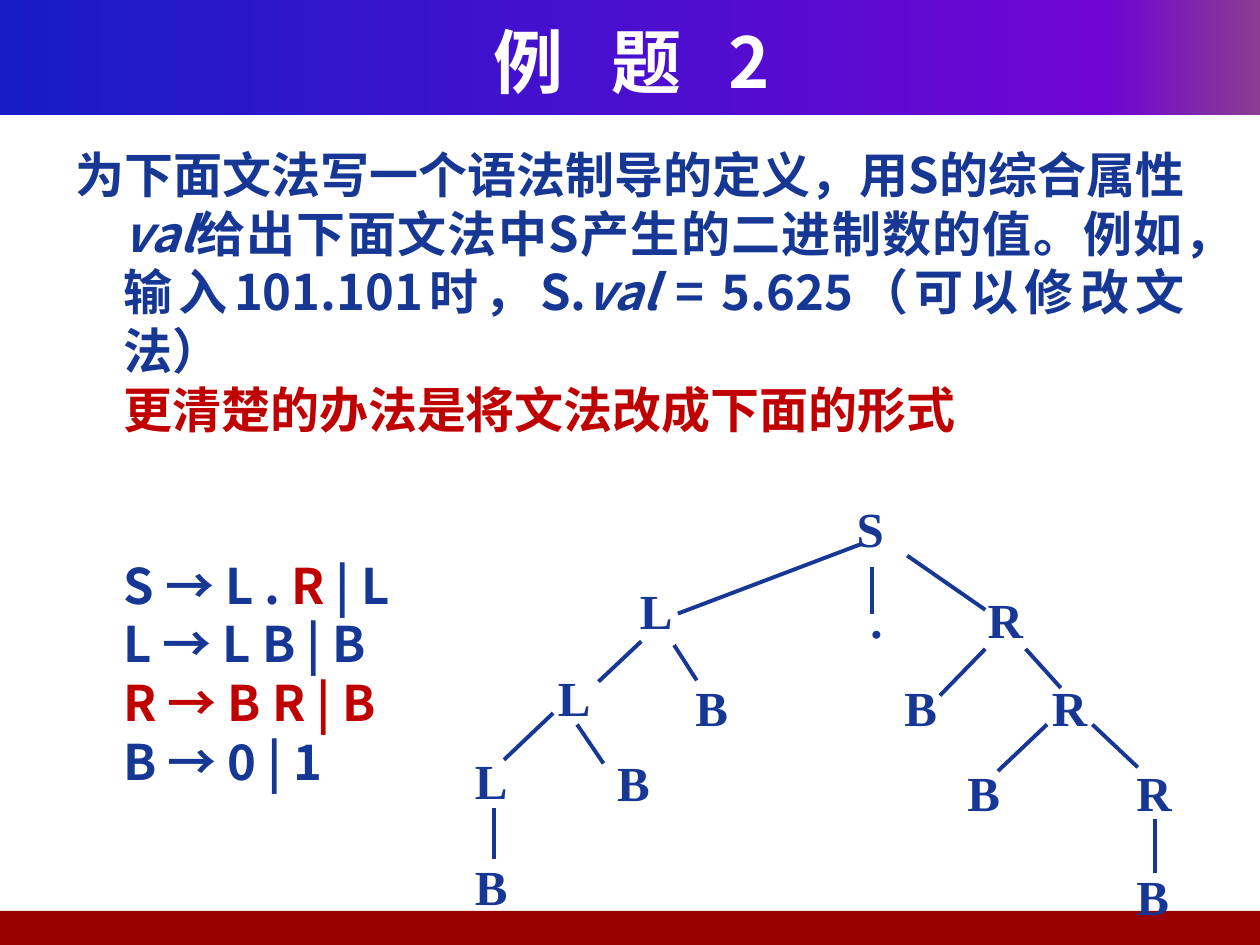
from copy import deepcopy
from lxml import etree
from pptx import Presentation, util as u
from pptx.dml.color import RGBColor
from pptx.enum import shapes, text
from pptx.oxml.ns import qn

BLUE, RED = "163794", "C00000"
SANS, SERIF = "Noto Sans CJK SC", "Times New Roman"


def rgb(code):
    return RGBColor.from_string(code)


def write(para, words, face, size, color, italic=False):
    run = para.add_run()
    run.text = words
    form = {"name": face, "size": u.Pt(size), "bold": True, "italic": italic}
    for key, val in form.items():
        setattr(run.font, key, val)
    run.font.color.rgb = rgb(color)
    etree.SubElement(run.font._element, qn("a:ea")).set("typeface", face)
    return run


prs = Presentation()
prs.slide_width, prs.slide_height = u.Inches(10), u.Inches(7.5)
slide = prs.slides.add_slide(prs.slide_layouts[1])
tree = slide.shapes

bands = []
for spot in [(0, 0, 10, 0.91), (-0.04, 7.23, 10.04, 0.27)]:
    band = tree.add_shape(shapes.MSO_SHAPE.RECTANGLE, *map(u.Inches, spot))
    band.shadow.inherit = False
    band.line.fill.background()
    tree._spTree.remove(band._element)
    tree._spTree.insert(2 + len(bands), band._element)
    bands.append(band)
head, foot = bands
foot.fill.solid()
foot.fill.fore_color.rgb = rgb("990000")
head.fill.gradient()
head.fill.gradient_angle = 0
stops = head._element.spPr.find(qn("a:gradFill")).find(qn("a:gsLst"))
stops.append(deepcopy(stops[-1]))
shades = [(0, "181CC7"), (0.88, "7005D4"), (1, "8C3D91")]
for stop, (pos, color) in zip(head.fill.gradient_stops, shades):
    stop.position = pos
    stop.color.rgb = rgb(color)

title, body = tree.title, tree.placeholders[1]
spots = [(title, (0.39, 0.17, 9.25, 0.62)), (body, (0.5, 1.1, 9, 5.74))]
for hold, spot in spots:
    for key, val in zip(("left", "top", "width", "height"), spot):
        setattr(hold, key, u.Inches(val))
    hold.text_frame.auto_size = text.MSO_AUTO_SIZE.NONE

title.text_frame.vertical_anchor = text.MSO_ANCHOR.MIDDLE
para = title.text_frame.paragraphs[0]
para.alignment = text.PP_ALIGN.CENTER
run = write(para, "例 题 2", SANS, 40, "FFFFFF")
run.font._element.set("spc", "900")

lines = [
    [("为下面文法写一个语法制导的定义，用S的综合属性", BLUE), ("val", BLUE, True),
     ("给出下面文法中S产生的二进制数的值。例如，输入101.101时，S.", BLUE),
     ("val", BLUE, True), (" = 5.625（可以修改文法）", BLUE)],
    [("更清楚的办法是将文法改成下面的形式", RED)],
    [("S → L . ", BLUE), ("R", RED), (" | L", BLUE)],
    [("L → L B | B", BLUE)],
    [("R → B R | B", RED)],
    [("B → 0 | 1", BLUE)],
]
frame = body.text_frame
for num, parts in enumerate(lines):
    para = frame.add_paragraph() if num else frame.paragraphs[0]
    form = {"alignment": text.PP_ALIGN.JUSTIFY, "line_spacing": u.Pt(33.5),
            "space_before": u.Pt(67 if num == 2 else 0), "space_after": u.Pt(0)}
    for key, val in form.items():
        setattr(para, key, val)
    props = para._p.get_or_add_pPr()
    props.set("marL", str(u.Inches(0.38)))
    props.set("indent", str(0 if num else u.Inches(-0.38)))
    etree.SubElement(props, qn("a:buNone"))
    for words, color, *slant in parts:
        write(para, words, SANS, 28, color, bool(slant))

nodes = [
    ("S", 6.7, 3.91), (".", 6.81, 4.63),
    ("L", 4.98, 4.56), ("L", 4.33, 5.25), ("B", 5.42, 5.33),
    ("L", 3.67, 5.91), ("B", 4.8, 5.92), ("B", 3.67, 6.75),
    ("R", 7.74, 4.63), ("R", 8.25, 5.33), ("B", 7.08, 5.33),
    ("R", 8.92, 6), ("B", 7.58, 6), ("B", 8.92, 6.83),
]
for name, left, top in nodes:
    box = tree.add_textbox(*map(u.Inches, (left, top, 0.65, 0.59)))
    box.text_frame.word_wrap = True
    write(box.text_frame.paragraphs[0], name, SERIF, 28, BLUE)

edges = [
    (6.83, 4.32, 5.38, 4.87), (6.92, 4.5, 6.92, 4.87), (7.2, 4.41, 7.82, 4.84),
    (5.09, 5.09, 4.75, 5.41), (5.35, 5.12, 5.53, 5.4),
    (4.39, 5.66, 4, 6.03), (4.58, 5.75, 4.79, 6.06), (3.92, 6.41, 3.92, 6.82),
    (7.82, 5.15, 7.46, 5.52), (8.14, 5.15, 8.42, 5.46),
    (8.31, 5.75, 7.92, 6.12), (8.67, 5.75, 9.03, 6.09), (9.17, 6.5, 9.17, 6.93),
]
for ends in edges:
    edge = tree.add_connector(shapes.MSO_CONNECTOR.STRAIGHT, *map(u.Inches, ends))
    edge.line.color.rgb = rgb(BLUE)
    edge.line.width = u.Pt(2.25)
    etree.SubElement(edge._element.spPr, qn("a:effectLst"))

prs.save("out.pptx")
